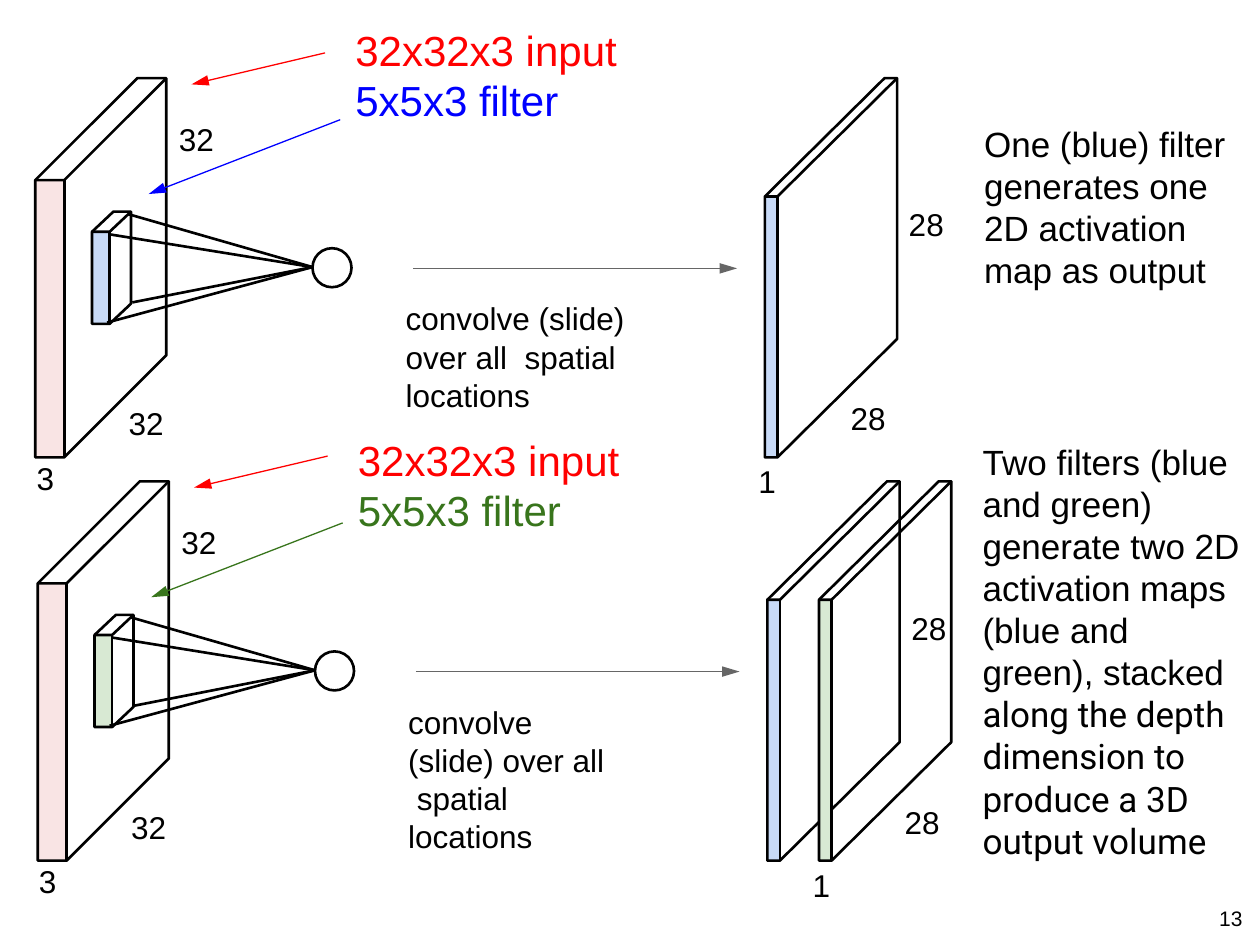
from pptx import Presentation
from pptx.dml.color import RGBColor
from pptx.enum.shapes import MSO_CONNECTOR, MSO_SHAPE
from pptx.enum.text import MSO_AUTO_SIZE, PP_ALIGN
from pptx.oxml.ns import qn
from pptx.util import Inches, Pt
from lxml.etree import SubElement

BLACK = RGBColor(0x00, 0x00, 0x00)
RED = RGBColor(0xFF, 0x00, 0x00)
BLUE = RGBColor(0x00, 0x00, 0xFF)
GREEN = RGBColor(0x38, 0x75, 0x1C)
GRAY = RGBColor(0x66, 0x66, 0x66)
PINK = RGBColor(0xF4, 0xCC, 0xCC)
PALE_BLUE = RGBColor(0xC8, 0xDA, 0xF7)
PALE_GREEN = RGBColor(0xD8, 0xE9, 0xD3)

prs = Presentation()
prs.slide_width, prs.slide_height = Inches(10), Inches(7.5)
s = prs.slides.add_slide(prs.slide_layouts[1])
title = s.shapes.title
title.element.getparent().remove(title.element)


def add_line(x1, y1, x2, y2, color=BLACK, width=1.5, arrow=False):
    c = s.shapes.add_connector(MSO_CONNECTOR.STRAIGHT, Inches(x1), Inches(y1),
                               Inches(x2), Inches(y2))
    c.line.color.rgb = color
    c.line.width = Pt(width)
    if arrow:
        SubElement(c.line._get_or_add_ln(), qn("a:tailEnd"),
                   type="triangle", w="med", len="lg")
    SubElement(c.element.spPr, qn("a:effectLst"))


def add_text(x, y, w, h, paragraphs, inset=0.0):
    """Add a text box; each paragraph is a list of (text, size, color, font) runs."""
    tf = s.shapes.add_textbox(Inches(x), Inches(y), Inches(w), Inches(h)).text_frame
    tf.word_wrap = True
    tf.margin_left = tf.margin_right = Inches(inset)
    tf.margin_top = tf.margin_bottom = Inches(inset / 2)
    for i, runs in enumerate(paragraphs):
        p = tf.add_paragraph() if i else tf.paragraphs[0]
        for text, size, color, font in runs:
            r = p.add_run()
            r.text = text
            r.font.size, r.font.name = Pt(size), font
            r.font.color.rgb = color
    return tf


# Per row: x, y offset, heading top, output x shift, text right margin, filter colors
rows = [
    (0, 0, 0.2, 0, 2.47, BLUE, PALE_BLUE),
    (0.02, 3.2, 3.45, 0.41, 2.65, GREEN, PALE_GREEN),
]
for x, y, heading_top, shift, right_margin, filter_color, filter_fill in rows:
    # Left, top, width and height of the front face, depth right and up, fill
    slabs = [
        (0.28, 1.43, 0.23, 2.2, 0.81, 0.81, PINK),
        (0.73, 1.84, 0.14, 0.73, 0.17, 0.16, filter_fill),
        (6.07, 1.56, 0.1, 2.07, 0.95, 0.94, PALE_BLUE),
    ]
    if shift:
        slabs.append((6.07 + shift, 1.56, 0.1, 2.07, 0.95, 0.94, filter_fill))
    for left, top, w, h, dx, dy, fill in slabs:
        l, t = left + x, top + y
        r, b = l + w, t + h
        face = [(l, t), (r, t), (r, b), (l, b)]
        outline = [(l, t), (l + dx, t - dy), (r + dx, t - dy), (r + dx, b - dy),
                   (r, b), (l, b)]
        fold = [(l, t), (r, t), (r + dx, t - dy)]
        for points, closed in ((face, True), (outline, True), (fold, False)):
            points = [(Inches(px), Inches(py)) for px, py in points]
            builder = s.shapes.build_freeform(*points[0])
            builder.add_line_segments(points[1:], close=closed)
            sp = builder.convert_to_shape()
            sp.shadow.inherit = False
            if len(points) == len(face):
                sp.fill.solid()
                sp.fill.fore_color.rgb = fill
                sp.line.fill.background()
                if fill == PINK:
                    rgb = sp.element.spPr.find(".//" + qn("a:srgbClr"))
                    SubElement(rgb, qn("a:alpha"), val="52000")
            else:
                sp.fill.background()
                sp.line.color.rgb = BLACK
                sp.line.width = Pt(1.5)
        add_line(r, t, r, b)

    neuron = s.shapes.add_shape(MSO_SHAPE.OVAL, Inches(2.48 + x), Inches(1.97 + y),
                                Inches(0.31), Inches(0.31))
    neuron.shadow.inherit = False
    neuron.fill.background()
    neuron.line.color.rgb = BLACK
    neuron.line.width = Pt(1.5)
    for ray_x, ray_y in ((0.85, 2.56), (0.87, 1.86), (1.02, 1.7), (1.05, 2.4)):
        add_line(ray_x + x, ray_y + y, 2.48 + x, 2.12 + y)

    for x1, y1, x2, y2, color in ((2.58, 0.42, 1.52, 0.67, RED),
                                  (2.7, 0.95, 1.18, 1.54, filter_color),
                                  (3.28, 2.13, 5.85, 2.13, GRAY)):
        add_line(x1 + x, y1 + y, x2 + x, y2 + y, color, 0.75, arrow=True)

    tf = add_text(2.82 + x, heading_top, 2.48, 0.79,
                  [[("32x32x3 input", 24, RED, "Arial")],
                   [("5x5x3 filter", 24, filter_color, "Arial")]])
    for p in tf.paragraphs:
        p.line_spacing = Pt(28.5)

    for text, left, top, w in (("32", 1.02, 3.21, 0.31), ("32", 1.42, 0.95, 0.31),
                               ("3", 0.29, 3.64, 0.17), ("1", 6.02 + shift, 3.67, 0.17),
                               ("28", 6.75 + shift, 3.17, 0.31)):
        add_text(left + x, top + y, w, 0.31, [[(text, 18, BLACK, "Arial")]])

    tf = add_text(3.22 + x, 1.63 + y, 4.27, 1.66,
                  [[("28", 18, BLACK, "Arial")],
                   [("convolve (slide) over all  spatial locations", 18, BLACK, "Arial")]])
    size_label, caption = tf.paragraphs
    size_label.alignment = PP_ALIGN.RIGHT
    caption.space_before = Pt(32)
    caption.line_spacing = 1.01
    caption._p.get_or_add_pPr().set("marR", str(Inches(right_margin)))

body = s.placeholders[1]
body.left, body.top = Inches(7.71), Inches(0.92)
body.width, body.height = Inches(2.24), Inches(1.72)
tf = body.text_frame
tf.auto_size = MSO_AUTO_SIZE.NONE
p = tf.paragraphs[0]
pPr = p._p.get_or_add_pPr()
pPr.set("marL", "0")
pPr.set("indent", "0")
SubElement(pPr, qn("a:buNone"))
p.space_before = Pt(0)
r = p.add_run()
r.text = "One (blue) filter generates one 2D activation map as output"
r.font.size, r.font.name = Pt(20), "Arial"
r.font.color.rgb = BLACK

add_text(7.7, 3.45, 2.24, 3.47,
         [[("Two filters (blue and green) generate two 2D activation maps "
            "(blue and green), stacked ", 20, BLACK, "Arial"),
           ("along the depth dimension to produce a 3D output volume",
            20, BLACK, "Roboto")]], inset=0.1)

tf = add_text(7.63, 7.14, 2.33, 0.27, [[("13", 12, BLACK, "Arial")]], inset=0.1)
tf.paragraphs[0].alignment = PP_ALIGN.RIGHT

prs.save("out.pptx")
